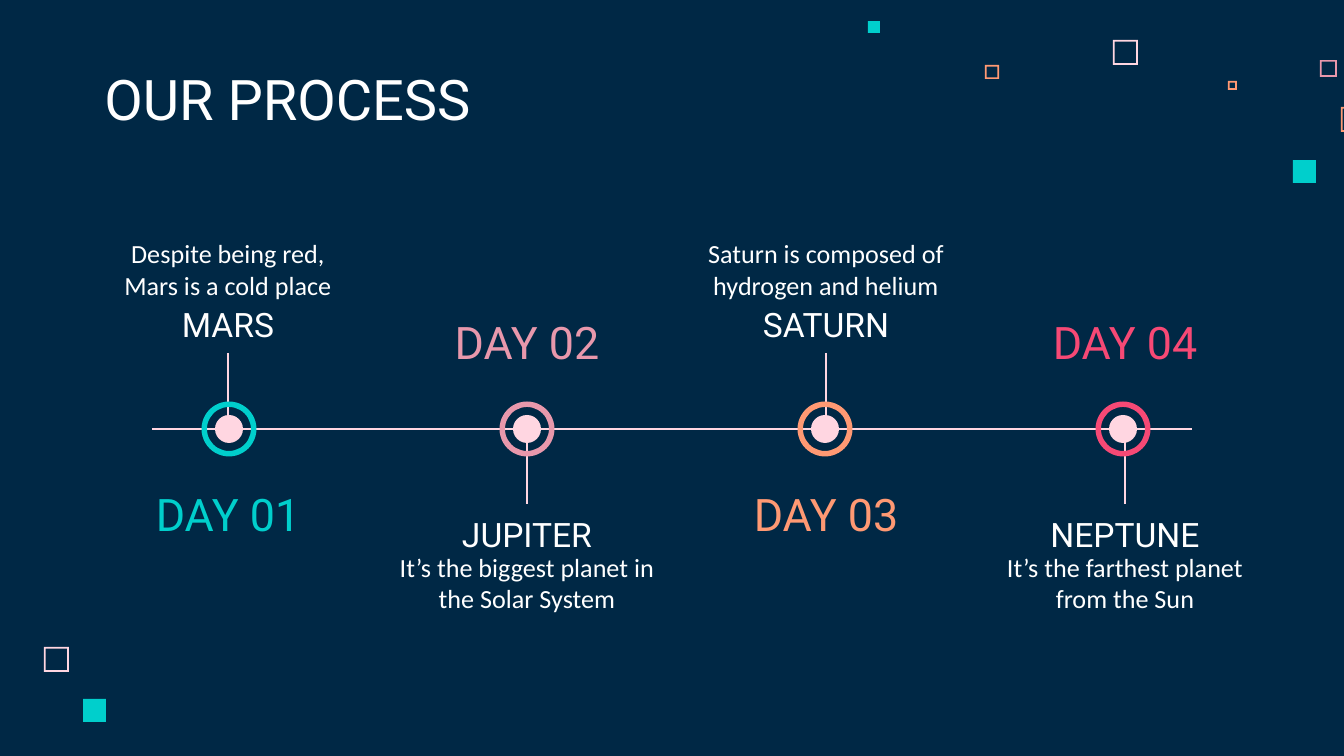
import pptx
import pptx.util
import pptx.dml.color
import pptx.enum.shapes
import pptx.enum.text
import pptx.oxml.ns
from lxml import etree

SHAPE = pptx.enum.shapes.MSO_SHAPE
ANCHOR = pptx.enum.text.MSO_ANCHOR
ALIGN = pptx.enum.text.PP_ALIGN

COLOURS = {
    "navy": "002845", "white": "FFFFFF", "blush": "FFD6E1", "teal": "00CFCC",
    "rose": "E898AC", "orange": "FF9973", "red": "F64975",
}
TITLE = "OUR PROCESS"
# day, planet, caption, caption width, colour; planets alternate above and below the axis
STEPS = [
    ("DAY 01", "MARS", "Despite being red, Mars is a cold place", 277, "teal"),
    ("DAY 02", "JUPITER", "It’s the biggest planet in the Solar System", 310, "rose"),
    ("DAY 03", "SATURN", "Saturn is composed of hydrogen and helium", 310, "orange"),
    ("DAY 04", "NEPTUNE", "It’s the farthest planet from the Sun", 277, "red"),
]
# left, top, side, colour
HOLLOW_SQUARES = [
    (1113, 40, 25, "blush"), (1320, 60, 17, "rose"), (1228, 81, 9, "orange"),
    (1341, 107, 25, "orange"), (985, 65, 14, "orange"), (44, 647, 25, "blush"),
]
SOLID_SQUARES = [(1293, 160, 23, "teal"), (868, 21, 12, "teal"), (83, 699, 23, "teal")]

# Vertical places of each part on either side of the axis
ABOVE = {"stem": (353, 421), "planet": 290, "caption": 219, "day": 482,
         "planet_anchor": ANCHOR.TOP, "caption_anchor": ANCHOR.BOTTOM}
BELOW = {"stem": (438, 504), "planet": 505, "caption": 538, "day": 310,
         "planet_anchor": ANCHOR.BOTTOM, "caption_anchor": ANCHOR.TOP}
AXIS_Y = 429
TEXT_X, TEXT_STEP = 228, 299
MARKER_X, MARKER_STEP = 229, 298
FRAME_WIDTH = 1.7


def px(length):
    return pptx.util.Emu(round(length * 914400 / 134.4))


def rgb(name):
    return pptx.dml.color.RGBColor.from_string(COLOURS[name])


def add_filled(shapes, kind, left, top, side, colour):
    shape = shapes.add_shape(kind, px(left), px(top), px(side), px(side))
    shape.shadow.inherit = False
    shape.fill.solid()
    shape.fill.fore_color.rgb = rgb(colour)
    shape.line.fill.background()
    return shape


def add_line(slide, x1, y1, x2, y2):
    line = slide.shapes.add_connector(
        pptx.enum.shapes.MSO_CONNECTOR.STRAIGHT, px(x1), px(y1), px(x2), px(y2))
    line.line.color.rgb = rgb("blush")
    line.line.width = pptx.util.Pt(1.5)
    etree.SubElement(line._element.spPr, pptx.oxml.ns.qn("a:effectLst"))


def format_text(shape, text, size, font, colour, anchor, align):
    frame = shape.text_frame
    frame.text = text
    frame.word_wrap = True
    frame.auto_size = pptx.enum.text.MSO_AUTO_SIZE.NONE
    frame.vertical_anchor = anchor
    frame.margin_left = frame.margin_right = pptx.util.Inches(0.1)
    frame.margin_top = frame.margin_bottom = pptx.util.Inches(0.1)
    paragraph = frame.paragraphs[0]
    paragraph.alignment = align
    paragraph.font.size = pptx.util.Pt(size)
    paragraph.font.name = font
    paragraph.font.color.rgb = rgb(colour)


def add_label(slide, centre, top, width, height, text, size, font, colour, anchor):
    box = slide.shapes.add_textbox(px(centre - width / 2), px(top), px(width), px(height))
    format_text(box, text, size, font, colour, anchor, ALIGN.CENTER)


def add_marker(slide, centre, colour):
    group = slide.shapes.add_group_shape()
    add_filled(group.shapes, SHAPE.OVAL, centre - 14, AXIS_Y - 14, 28, "blush")
    ring = add_filled(group.shapes, SHAPE.DONUT, centre - 27.5, AXIS_Y - 27.5, 55, colour)
    ring.adjustments[0] = 0.1


def main():
    presentation = pptx.Presentation()
    presentation.slide_width, presentation.slide_height = px(1344), px(756)
    slide = presentation.slides.add_slide(presentation.slide_layouts[5])
    slide.background.fill.solid()
    slide.background.fill.fore_color.rgb = rgb("navy")

    for left, top, side, colour in HOLLOW_SQUARES:
        square = add_filled(slide.shapes, SHAPE.FRAME, left, top, side, colour)
        square.adjustments[0] = FRAME_WIDTH / side
    for square in SOLID_SQUARES:
        add_filled(slide.shapes, SHAPE.RECTANGLE, *square)

    title = slide.shapes.title
    title.left, title.top, title.width, title.height = px(91), px(60), px(695), px(85)
    format_text(title, TITLE, 30, "Roboto", "white", ANCHOR.BOTTOM, ALIGN.LEFT)

    add_line(slide, 152, AXIS_Y, 1192, AXIS_Y)
    for index, (day, planet, caption, width, colour) in enumerate(STEPS):
        side = BELOW if index % 2 else ABOVE
        centre = TEXT_X + index * TEXT_STEP
        stem_top, stem_bottom = side["stem"]
        add_line(slide, centre, stem_top, centre, stem_bottom)
        add_marker(slide, MARKER_X + index * MARKER_STEP, colour)
        add_label(slide, centre, side["planet"], 277, 63, planet, 18, "Roboto", "white",
                  side["planet_anchor"])
        add_label(slide, centre, side["caption"], width, 95, caption, 14, "Calibri", "white",
                  side["caption_anchor"])
        add_label(slide, centre, side["day"], 190, 63, day, 24, "Roboto", colour, ANCHOR.MIDDLE)

    presentation.save("out.pptx")


if __name__ == "__main__":
    main()
